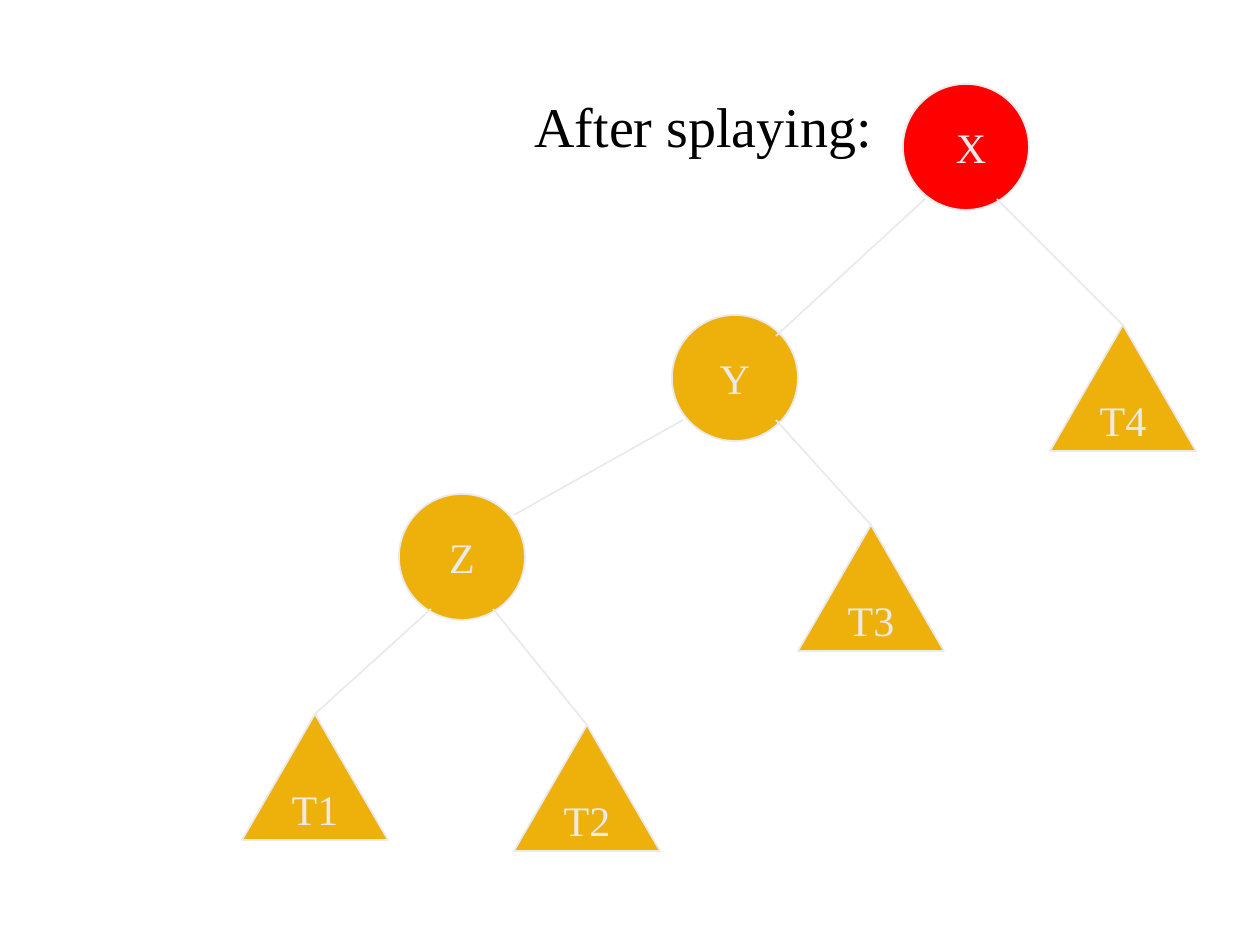
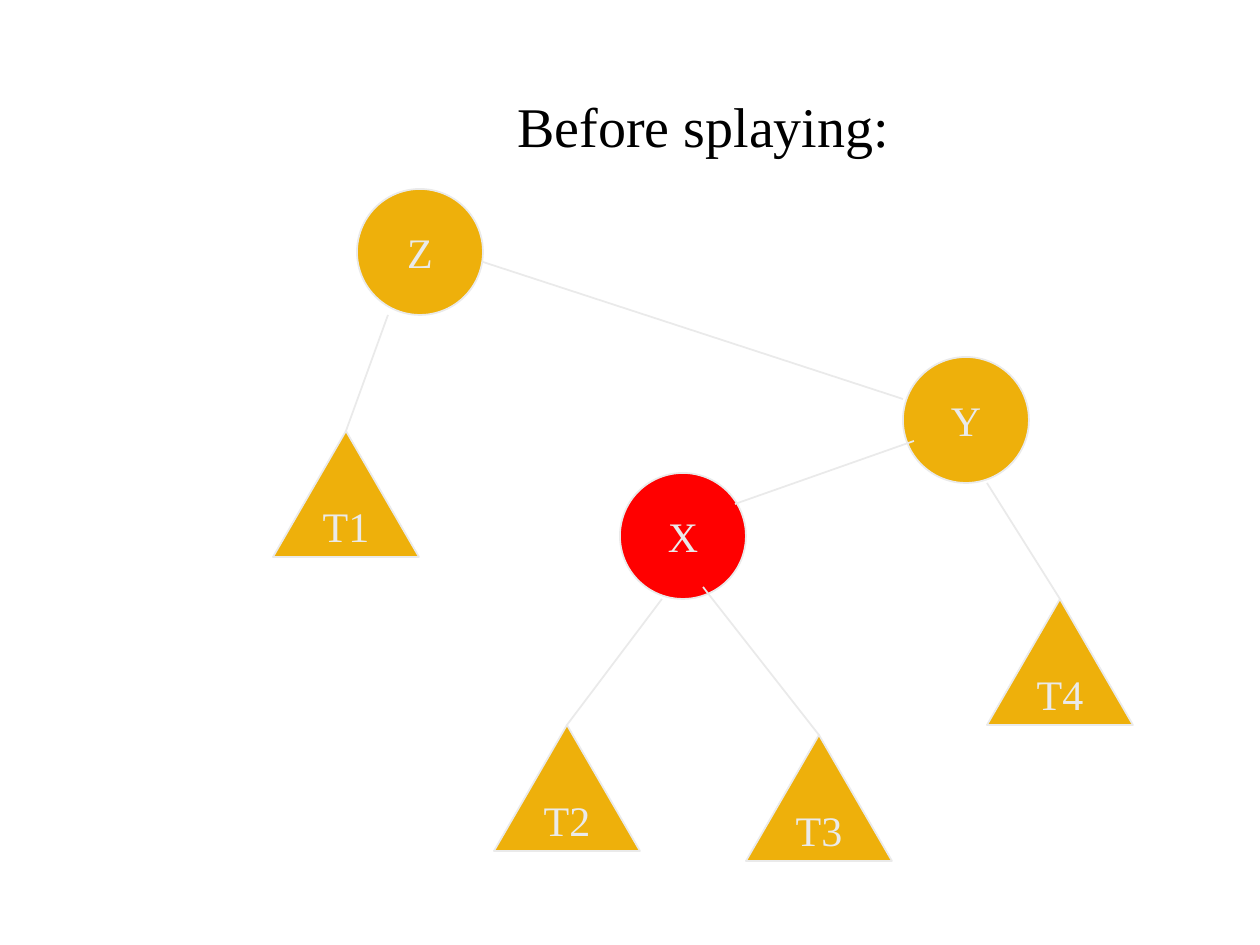
"""Build two slides that show a binary tree after and before splaying."""
from lxml.etree import SubElement
from pptx import Presentation
from pptx.dml.color import RGBColor
from pptx.enum.shapes import MSO_CONNECTOR, MSO_SHAPE
from pptx.enum.text import MSO_ANCHOR, PP_ALIGN
from pptx.oxml.ns import qn
from pptx.util import Pt

PX = 914400 // 126
SLIDE_SIZE = (1260, 945)
TITLE_BOX = (168, 42, 1071, 166)
NODE_SIZE = (126, 126)
SUBTREE_SIZE = (146, 126)
FONT = "Times New Roman"
BLACK, PALE, GOLD, RED = "000000", "EAEAEA", "EEB00B", "FF0000"
SPLAYED = "X"

TREES = [
    {
        "title": "After splaying:",
        "nodes": [("Z", 399, 494), ("Y", 672, 315), (" X", 903, 84)],
        "subtrees": [("T1", 242, 714), ("T3", 798, 525), ("T2", 514, 725), ("T4", 1050, 325)],
        "node_edges": [(925, 199, 776, 336), (683, 420, 514, 515)],
        "subtree_edges": [(997, 199, "T4"), (776, 420, "T3"), (493, 609, "T2"), (431, 609, "T1")],
    },
    {
        "title": "Before splaying:",
        "nodes": [("Z", 357, 189), ("X", 620, 473), ("Y", 903, 357)],
        "subtrees": [("T1", 273, 431), ("T3", 746, 735), ("T2", 494, 725), ("T4", 987, 599)],
        "node_edges": [(483, 262, 903, 399), (914, 441, 735, 504)],
        "subtree_edges": [(987, 483, "T4"), (388, 315, "T1"), (662, 599, "T2"), (703, 587, "T3")],
    },
]


def emu(*lengths):
    return [length * PX for length in lengths]


def color(hex_string):
    return RGBColor.from_string(hex_string)


def write(shape, text, size, text_color, wrap):
    frame = shape.text_frame
    frame.text = text
    frame.word_wrap = wrap
    frame.vertical_anchor = MSO_ANCHOR.MIDDLE
    paragraph = frame.paragraphs[0]
    paragraph.alignment = PP_ALIGN.CENTER
    font = paragraph.runs[0].font
    font.name = FONT
    font.size = Pt(size)
    font.color.rgb = color(text_color)


def outline(line):
    line.color.rgb = color(PALE)
    line.width = Pt(1)


def add_part(slide, kind, label, left, top, size):
    shape = slide.shapes.add_shape(kind, *emu(left, top, *size))
    shape.shadow.inherit = False
    shape.fill.solid()
    shape.fill.fore_color.rgb = color(RED if label.strip() == SPLAYED else GOLD)
    outline(shape.line)
    write(shape, label, 24, PALE, wrap=False)
    return shape


def add_edge(slide, *ends):
    edge = slide.shapes.add_connector(MSO_CONNECTOR.STRAIGHT, *emu(*ends))
    outline(edge.line)
    SubElement(edge.element.spPr, qn("a:effectLst"))
    return edge


def add_tree(slide, tree):
    title = slide.shapes.add_textbox(*emu(*TITLE_BOX))
    write(title, tree["title"], 32, BLACK, wrap=True)
    for label, left, top in tree["nodes"]:
        add_part(slide, MSO_SHAPE.OVAL, label, left, top, NODE_SIZE)
    subtrees = {
        label: add_part(slide, MSO_SHAPE.ISOSCELES_TRIANGLE, label, left, top, SUBTREE_SIZE)
        for label, left, top in tree["subtrees"]
    }
    for ends in tree["node_edges"]:
        add_edge(slide, *ends)
    for x, y, label in tree["subtree_edges"]:
        add_edge(slide, x, y, x, y).end_connect(subtrees[label], 0)


def main():
    presentation = Presentation()
    presentation.slide_width, presentation.slide_height = emu(*SLIDE_SIZE)
    for tree in TREES:
        add_tree(presentation.slides.add_slide(presentation.slide_layouts[6]), tree)
    presentation.save("out.pptx")


if __name__ == "__main__":
    main()
